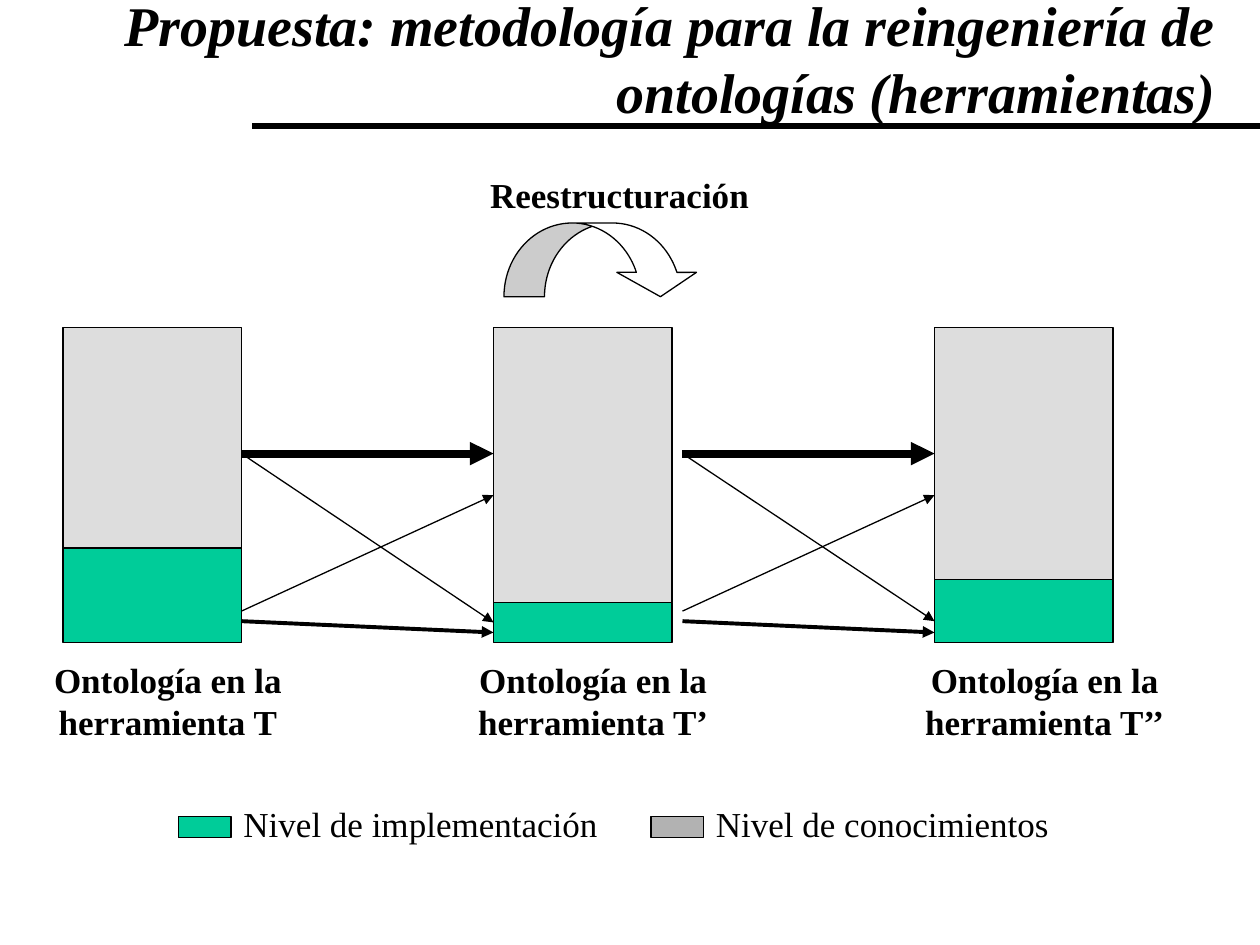
from dataclasses import dataclass
from lxml.etree import SubElement
from pptx import Presentation
from pptx.dml.color import RGBColor
from pptx.enum.shapes import MSO_CONNECTOR, MSO_SHAPE
from pptx.enum.text import MSO_ANCHOR, PP_ALIGN
from pptx.oxml.ns import qn
from pptx.util import Inches, Pt


@dataclass(frozen=True)
class Theme:
    font: str = "Times New Roman"
    ink: str = "000000"
    paper: str = "FFFFFF"
    green: str = "00CC99"
    grey: str = "DDDDDD"
    key: str = "B2B2B2"
    title: int = 32
    body: int = 20
    thin: float = 0.75
    mid: float = 2.25
    rule: float = 3
    thick: float = 4.5


class Board:
    cols, rows = 120, 150

    def __init__(self, deck, theme):
        self.theme = theme
        self.wide, self.high = deck.slide_width, deck.slide_height
        self.slide = deck.slides.add_slide(deck.slide_layouts[6])
        fill = self.slide.background.fill
        fill.solid()
        fill.fore_color.rgb = RGBColor.from_string(theme.paper)

    def x(self, col):
        return round(self.wide * col / self.cols)

    def y(self, row):
        return round(self.high * row / self.rows)

    def area(self, col, row, wide, high):
        return self.x(col), self.y(row), self.x(wide), self.y(high)

    def shape(self, area, color, kind=MSO_SHAPE.RECTANGLE):
        item = self.slide.shapes.add_shape(kind, *self.area(*area))
        item.shadow.inherit = False
        item.fill.solid()
        item.fill.fore_color.rgb = RGBColor.from_string(color)
        item.line.color.rgb = RGBColor.from_string(self.theme.ink)
        item.line.width = Pt(self.theme.thin)
        return item

    def text(self, area, words, size, align=PP_ALIGN.CENTER, bold=True,
             italic=False, anchor=MSO_ANCHOR.TOP):
        frame = self.slide.shapes.add_textbox(*self.area(*area)).text_frame
        frame.word_wrap = True
        frame.vertical_anchor = anchor
        para = frame.paragraphs[0]
        para.alignment = align
        run = para.add_run()
        run.text = words
        font = run.font
        font.name, font.size = self.theme.font, Pt(size)
        font.bold, font.italic = bold, italic
        font.color.rgb = RGBColor.from_string(self.theme.ink)

    def line(self, start, end, width, arrow=True, goal=None):
        item = self.slide.shapes.add_connector(
            MSO_CONNECTOR.STRAIGHT, self.x(start[0]), self.y(start[1]),
            self.x(end[0]), self.y(end[1]))
        if goal is not None:
            item.end_connect(goal, 1)
        item.line.color.rgb = RGBColor.from_string(self.theme.ink)
        item.line.width = Pt(width)
        if arrow:
            SubElement(item.line._get_or_add_ln(), qn("a:tailEnd"), type="triangle")
        SubElement(item._element.spPr, qn("a:effectLst"))

    def stack(self, col, split):
        top, base, wide = 52, 102, 17
        low = self.shape((col, split, wide, base - split), self.theme.green)
        high = self.shape((col, top, wide, split - top), self.theme.grey)
        return high, low

    def legend(self, col, wide, color, words):
        self.shape((col, 129.6, 5, 3.4), color)
        self.text((col + 5, 126.4, wide, 8.8), words, self.theme.body,
                  PP_ALIGN.LEFT, False)


def main():
    deck = Presentation()
    deck.slide_width, deck.slide_height = Inches(10), Inches(7.5)
    theme = Theme()
    board = Board(deck, theme)

    board.line((24, 20), (120, 20), theme.rule, arrow=False)
    board.text((3, 0, 114, 18.4),
               "Propuesta: metodología para la reingeniería de ontologías (herramientas)",
               theme.title, PP_ALIGN.RIGHT, italic=True, anchor=MSO_ANCHOR.MIDDLE)

    stacks = []
    for col, split, wide, mark in ((6, 87, 26, "T"), (47, 95.6, 25, "T’"),
                                   (89, 92, 27, "T’’")):
        stacks.append(board.stack(col, split))
        board.text((col - 3, 103.6, wide, 15.4),
                   f"Ontología en la herramienta {mark}", theme.body)

    turn = board.shape((48, 35.4, 18.7, 11.7), theme.paper,
                       MSO_SHAPE.CURVED_DOWN_ARROW)
    for spot, value in enumerate((0.55, 1.08, 0.33)):
        turn.adjustments[spot] = value
    board.text((45, 26.6, 28, 8.8), "Reestructuración", theme.body)

    first, last = stacks[1][1], stacks[2][0]
    for col, high, low in ((23, None, first), (65, last, None)):
        for start, end, width, goal in ((72, 72, theme.thick, high),
                                        (72, 98.6, theme.thin, low),
                                        (97, 78.6, theme.thin, None),
                                        (98.6, 100.4, theme.mid, None)):
            board.line((col, start), (col + 24, end), width, goal=goal)

    board.legend(17, 38, theme.green, "Nivel de implementación")
    board.legend(62, 36, theme.key, "Nivel de conocimientos")
    deck.save("out.pptx")


if __name__ == "__main__":
    main()
